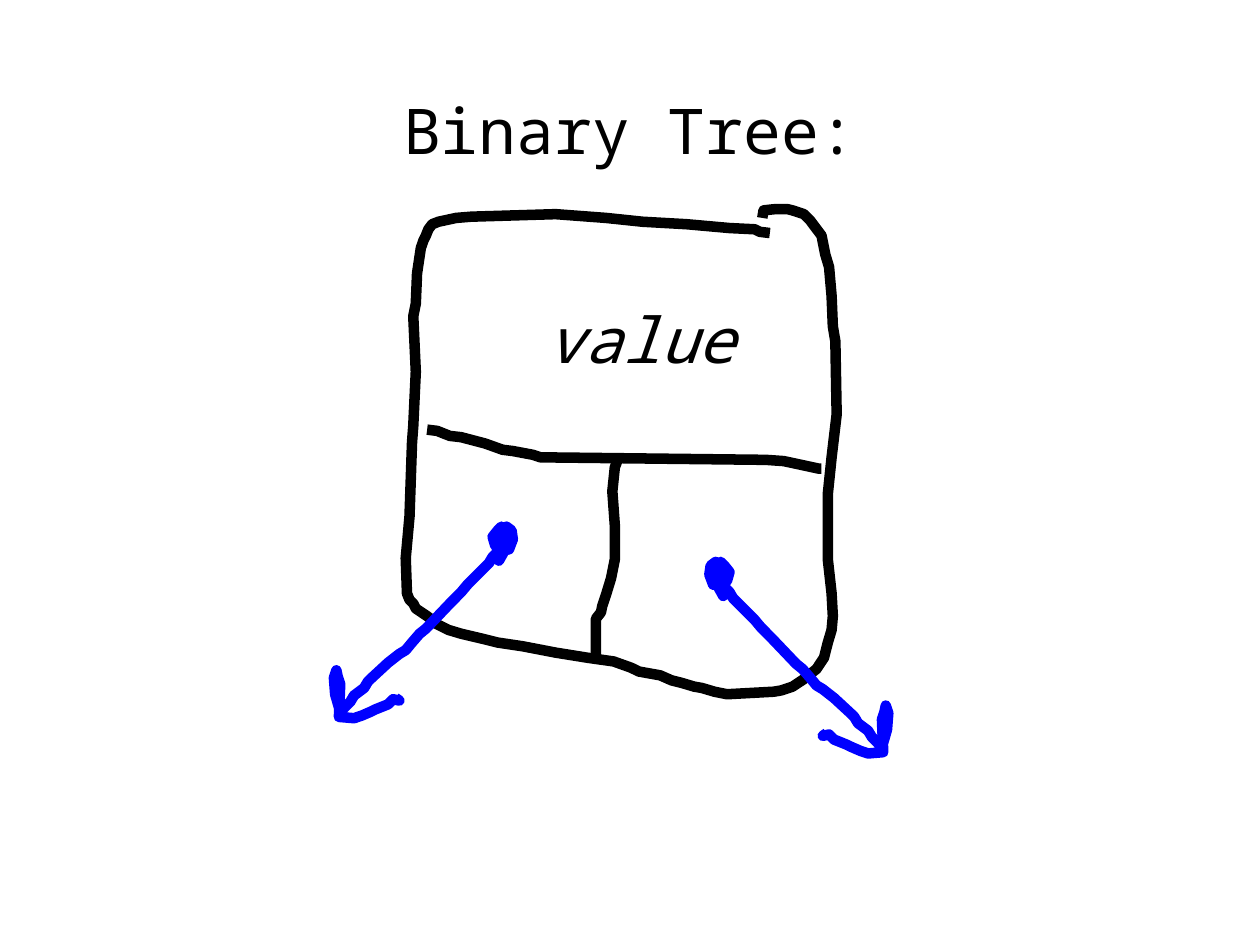
from lxml import etree
from pptx import Presentation
from pptx.dml.color import RGBColor
from pptx.enum.text import PP_ALIGN
from pptx.oxml.ns import qn
from pptx.util import Cm, Pt

BLANK_LAYOUT = 6
RIGHT = PP_ALIGN.RIGHT
FONT = "Noto Sans Mono"
COLORS = {"paper": "FFFFFF", "ink": "000000", "pointer": "0000FF"}

# Stroke points are whole numbers of this unit.
STROKE_UNIT = Cm(0.0254)

NODE_OUTLINE = [
    (611, 185), (603, 184), (599, 182), (579, 181), (545, 178), (510, 176),
    (481, 173), (441, 170), (374, 172), (362, 173), (348, 176), (343, 178),
    (340, 182), (338, 187), (336, 191), (334, 197), (331, 217), (330, 241),
    (328, 251), (330, 295), (328, 338), (327, 351), (325, 410), (322, 443),
    (323, 471), (325, 476), (328, 479), (330, 483), (339, 489), (343, 492),
    (346, 495), (356, 500), (366, 503), (383, 507), (395, 510), (415, 513),
    (441, 518), (466, 522), (487, 525), (501, 530), (507, 533), (524, 536),
    (533, 540), (541, 542), (551, 545), (557, 546), (567, 549), (577, 551),
    (614, 549), (620, 548), (629, 545), (638, 539), (648, 531), (654, 522),
    (657, 510), (660, 500), (661, 489), (660, 471), (657, 444), (657, 392),
    (660, 363), (664, 329), (663, 271), (661, 259), (660, 235), (658, 212),
    (655, 202), (652, 187), (646, 179), (643, 175), (638, 170), (629, 167),
    (625, 166), (615, 166), (606, 167), (605, 173),
]
VALUE_DIVIDER = [
    (339, 341), (347, 342), (357, 346), (366, 347), (385, 352), (399, 357),
    (407, 358), (423, 361), (429, 363), (608, 365), (622, 366), (636, 369),
    (650, 372), (652, 372),
]
CHILD_DIVIDER = [
    (491, 363), (488, 371), (486, 390), (488, 417), (488, 444), (485, 459),
    (481, 472), (478, 481), (477, 486), (473, 491), (473, 526),
]
LEFT_POINTER = [
    (406, 425), (398, 418), (395, 421), (391, 426), (393, 433), (398, 437),
    (404, 436), (407, 428), (406, 421), (402, 418), (398, 420), (395, 426),
    (396, 436), (404, 428), (399, 429), (395, 439), (396, 445), (401, 436),
    (396, 437), (391, 442), (388, 447), (376, 459), (371, 464), (366, 470),
    (358, 478), (338, 499), (333, 503), (327, 510), (322, 516), (317, 519),
    (308, 526), (295, 538), (292, 541), (289, 546), (281, 552), (278, 557),
    (270, 565), (266, 551), (265, 538), (267, 532), (268, 537), (270, 543),
    (269, 569), (281, 570), (287, 568), (294, 565), (298, 563), (308, 559),
    (312, 555), (317, 556), (314, 554),
]
# The right pointer mirrors the left one about the node's axis, slightly lower.
MIRROR_SUM = 970
POINTER_DROP = 28


def rgb(name):
    return RGBColor.from_string(COLORS[name])


def add_stroke(slide, points, color):
    """Draw an open hand-drawn line through the points."""
    builder = slide.shapes.build_freeform(*points[0], scale=STROKE_UNIT)
    builder.add_line_segments(points[1:], close=False)
    stroke = builder.convert_to_shape()
    stroke.shadow.inherit = False
    stroke.fill.background()
    stroke.line.color.rgb = rgb(color)
    stroke.line.width = Pt(6)
    etree.SubElement(stroke.line._get_or_add_ln(), qn("a:round"))


def add_label(slide, text, left, top, width, italic=False):
    frame = slide.shapes.add_textbox(Cm(left), Cm(top), Cm(width), Cm(1.8)).text_frame
    frame.word_wrap = False
    frame.text = text
    paragraph = frame.paragraphs[0]
    paragraph.alignment = RIGHT
    font = paragraph.runs[0].font
    font.name = FONT
    font.size = Pt(36)
    font.italic = italic
    font.color.rgb = rgb("ink")


def main():
    deck = Presentation()
    deck.slide_width, deck.slide_height = Cm(25.4), Cm(19.05)
    slide = deck.slides.add_slide(deck.slide_layouts[BLANK_LAYOUT])
    slide.background.fill.solid()
    slide.background.fill.fore_color.rgb = rgb("paper")

    for points in (NODE_OUTLINE, VALUE_DIVIDER, CHILD_DIVIDER):
        add_stroke(slide, points, "ink")
    add_label(slide, "value", 10.41, 5.94, 4.67, italic=True)

    right_pointer = [(MIRROR_SUM - x, y + POINTER_DROP) for x, y in LEFT_POINTER]
    for points in (LEFT_POINTER, right_pointer):
        add_stroke(slide, points, "pointer")
    add_label(slide, "Binary Tree:", 7.77, 1.73, 9.75)

    deck.save("out.pptx")


if __name__ == "__main__":
    main()
